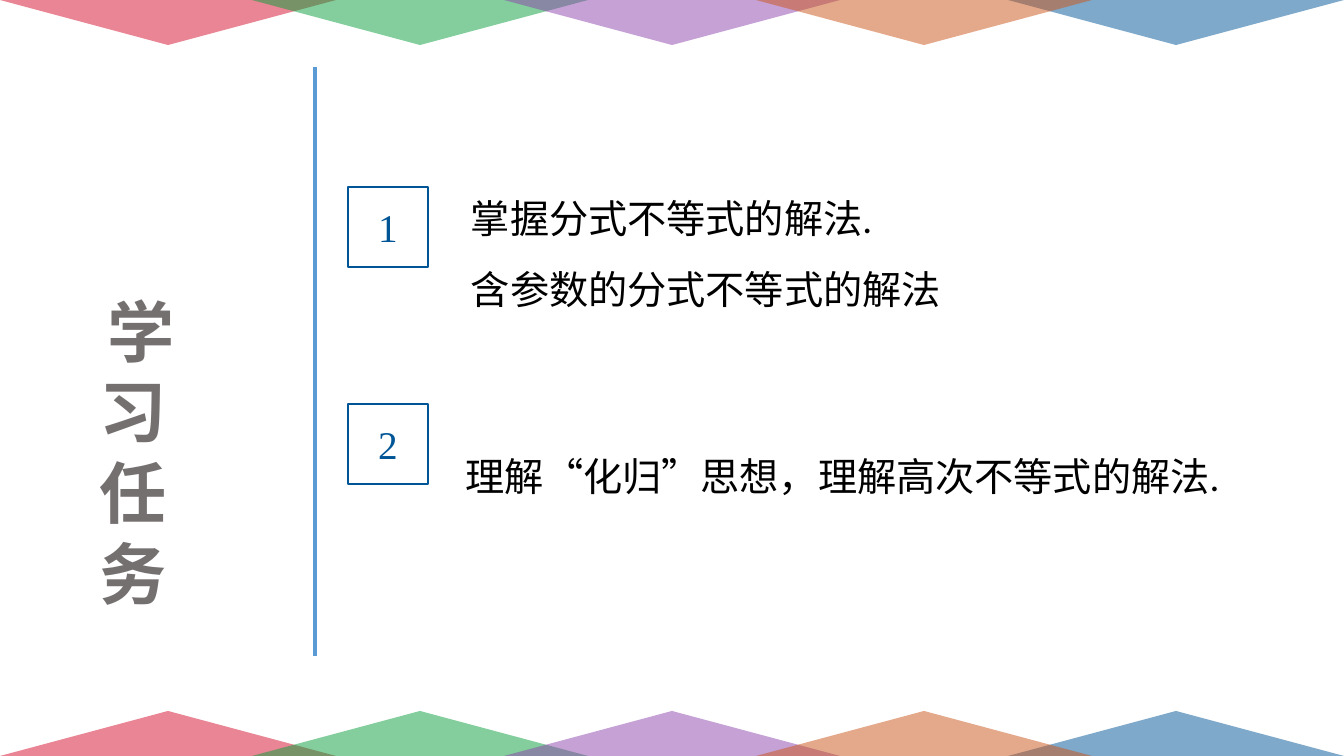
import dataclasses

import lxml.etree
import pptx
import pptx.dml.color
import pptx.enum.shapes
import pptx.enum.text
import pptx.oxml.ns
import pptx.util

RGB = pptx.dml.color.RGBColor
SHAPE = pptx.enum.shapes.MSO_SHAPE
ALIGN = pptx.enum.text.PP_ALIGN
ANCHOR = pptx.enum.text.MSO_ANCHOR
FIT = pptx.enum.text.MSO_AUTO_SIZE

EMU_PER_PX = 914400 / 100.8
PAGE_WIDTH, PAGE_HEIGHT = 1344, 756
BAND_STEP, BAND_WIDTH, BAND_HEIGHT = 252, 336, 45

RED = RGB(0xD5, 0x0D, 0x2A)
BLUE = RGB(0x00, 0x55, 0x96)
GREEN = RGB(0x09, 0x9F, 0x3B)
PURPLE = RGB(0x8D, 0x44, 0xAD)
ORANGE = RGB(0xCB, 0x55, 0x18)
GREY = RGB(0x75, 0x70, 0x70)
RULE_BLUE = RGB(0x5B, 0x9B, 0xD5)
BLACK = RGB(0, 0, 0)


@dataclasses.dataclass(frozen=True)
class Frame:
    left: int
    top: int
    width: int
    height: int

    def emu(self) -> list[pptx.util.Emu]:
        return [px(value) for value in dataclasses.astuple(self)]


@dataclasses.dataclass(frozen=True)
class Line:
    text: str
    typeface: str


@dataclasses.dataclass(frozen=True)
class Task:
    number: str
    badge_top: int
    frame: Frame
    align: ALIGN
    lines: tuple[Line, ...]


# Triangles in drawing order, each with its column
BAND = ((0, RED), (4, BLUE), (1, GREEN), (2, PURPLE), (3, ORANGE))

TASKS = (
    Task("1", 187, Frame(461, 166, 732, 152), ALIGN.JUSTIFY,
         (Line("掌握分式不等式的解法.", "Calibri"),
          Line("含参数的分式不等式的解法", "Times New Roman"))),
    Task("2", 404, Frame(456, 424, 886, 82), ALIGN.LEFT,
         (Line("理解“化归”思想，理解高次不等式的解法.", "Calibri"),)),
)


def px(value: int) -> pptx.util.Emu:
    return pptx.util.Emu(round(value * EMU_PER_PX))


def write(para, text: str, align: ALIGN, spacing: float, typeface: str,
          size: int, color: RGB, bold: bool = False) -> None:
    para.alignment, para.line_spacing = align, spacing
    span = para.add_run()
    span.text = text
    formats = {"name": typeface, "size": pptx.util.Pt(size), "bold": bold}
    for attribute, value in formats.items():
        setattr(span.font, attribute, value)
    span.font.color.rgb = color


def add_band(page, top: int, rotation: int) -> None:
    for column, color in BAND:
        frame = Frame(column * BAND_STEP, top, BAND_WIDTH, BAND_HEIGHT)
        triangle = page.shapes.add_shape(SHAPE.ISOSCELES_TRIANGLE, *frame.emu())
        triangle.rotation = rotation
        triangle.shadow.inherit = False
        triangle.line.fill.background()
        triangle.fill.solid()
        triangle.fill.fore_color.rgb = color
        paint = triangle.fill._xPr.find(".//" + pptx.oxml.ns.qn("a:srgbClr"))
        lxml.etree.SubElement(paint, pptx.oxml.ns.qn("a:alpha"), val="50000")


def place_title(page) -> None:
    title = page.shapes.title
    sides = ("left", "top", "width", "height")
    for side, value in zip(sides, Frame(64, 285, 139, 336).emu()):
        setattr(title, side, value)
    box = title.text_frame
    formats = {"word_wrap": True, "auto_size": FIT.NONE,
               "vertical_anchor": ANCHOR.TOP}
    for attribute, value in formats.items():
        setattr(box, attribute, value)
    write(box.paragraphs[0], " 学习任务", ALIGN.CENTER, 1.0,
          "Calibri", 48, GREY, bold=True)


def add_divider(page) -> None:
    divider = page.shapes.add_connector(
        pptx.enum.shapes.MSO_CONNECTOR.STRAIGHT,
        px(315), px(67), px(315), px(656))
    divider.line.color.rgb = RULE_BLUE
    divider.line.width = pptx.util.Pt(3)
    properties = divider._element.spPr
    lxml.etree.SubElement(properties, pptx.oxml.ns.qn("a:effectLst"))


def add_badge(page, task: Task) -> None:
    badge = page.shapes.add_shape(
        SHAPE.RECTANGLE, *Frame(348, task.badge_top, 80, 80).emu())
    badge.shadow.inherit = False
    badge.fill.background()
    badge.line.color.rgb = BLUE
    badge.line.width = pptx.util.Pt(1)
    badge.text_frame.vertical_anchor = ANCHOR.MIDDLE
    write(badge.text_frame.paragraphs[0], task.number, ALIGN.CENTER, 1.0,
          "Times New Roman", 28, BLUE)


def add_task_text(page, task: Task) -> None:
    box = page.shapes.add_textbox(*task.frame.emu()).text_frame
    box.word_wrap = True
    box.auto_size = FIT.SHAPE_TO_FIT_TEXT
    for index, line in enumerate(task.lines):
        para = box.add_paragraph() if index else box.paragraphs[0]
        write(para, line.text, task.align, 1.5, line.typeface, 28, BLACK)


def main() -> None:
    deck = pptx.Presentation()
    deck.slide_width, deck.slide_height = px(PAGE_WIDTH), px(PAGE_HEIGHT)
    page = deck.slides.add_slide(deck.slide_layouts.get_by_name("Title Only"))

    # Coloured bands along the bottom and top edges
    add_band(page, PAGE_HEIGHT - BAND_HEIGHT, 0)
    add_band(page, 0, 180)

    # Title column and its divider
    place_title(page)
    add_divider(page)

    # Numbered learning tasks
    for task in TASKS:
        add_badge(page, task)
        add_task_text(page, task)

    deck.save("out.pptx")


if __name__ == "__main__":
    main()
